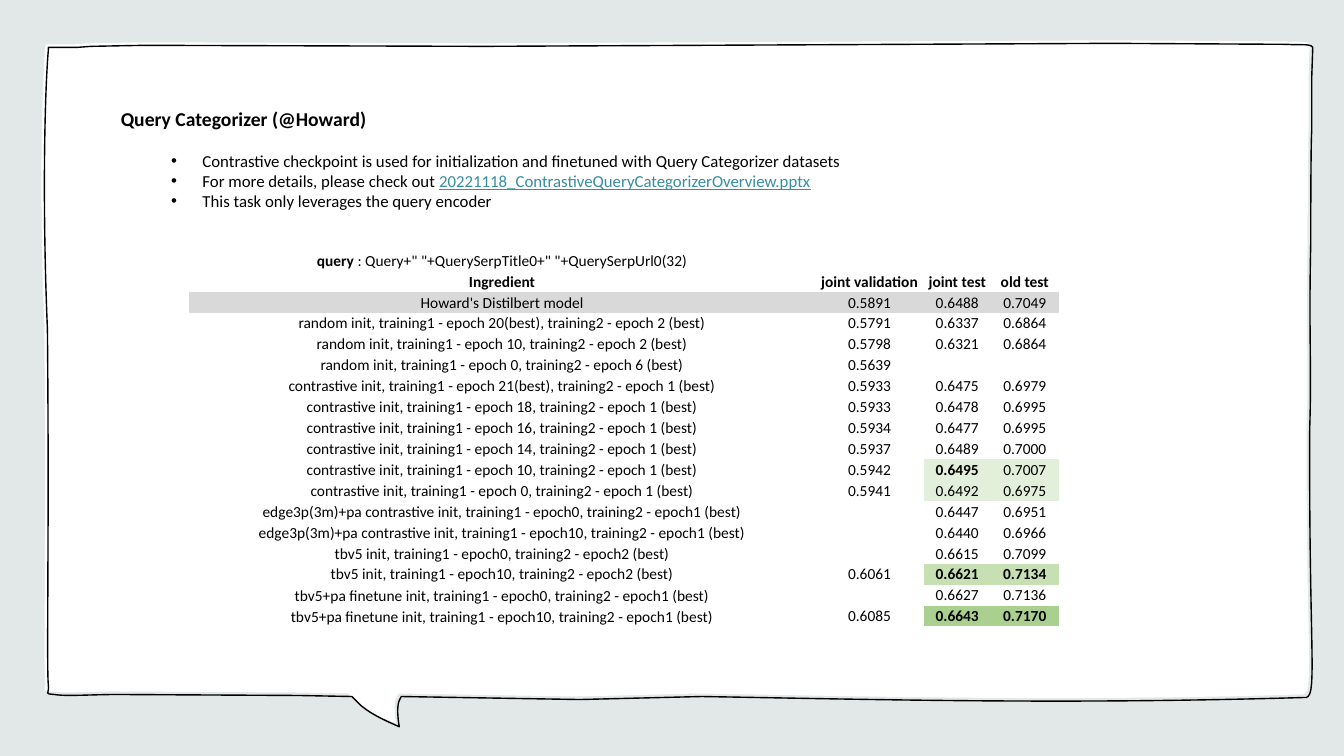
"""Build the Query Categorizer results slide."""
from pptx import Presentation
from pptx.dml.color import RGBColor
from pptx.enum.text import MSO_ANCHOR, PP_ALIGN
from pptx.oxml.ns import qn
from pptx.util import Inches, Pt
from lxml.etree import SubElement

TITLE = "Query Categorizer (@Howard)"
LINK = "20221118_ContrastiveQueryCategorizerOverview.pptx"
BULLETS = [
    ["Contrastive checkpoint is used for initialization and finetuned with Query Categorizer datasets"],
    ["For more details, please check out ", LINK],
    ["This task only leverages the query encoder"],
]
QUERY = [("query ", True), (': Query+" "+QuerySerpTitle0+" "+QuerySerpUrl0(32)', False)]
HEADS = ("Ingredient", "joint validation", "joint test", "old test")
MODELS = [
    ("Howard's Distilbert model", "0.5891", "0.6488", "0.7049"),
    ("random init, training1 - epoch 20(best), training2 - epoch 2 (best)", "0.5791", "0.6337", "0.6864"),
    ("random init, training1 - epoch 10, training2 - epoch 2 (best)", "0.5798", "0.6321", "0.6864"),
    ("random init, training1 - epoch 0, training2 - epoch 6 (best)", "0.5639", "", ""),
    ("contrastive init, training1 - epoch 21(best), training2 - epoch 1 (best)", "0.5933", "0.6475", "0.6979"),
    ("contrastive init, training1 - epoch 18, training2 - epoch 1 (best)", "0.5933", "0.6478", "0.6995"),
    ("contrastive init, training1 - epoch 16, training2 - epoch 1 (best)", "0.5934", "0.6477", "0.6995"),
    ("contrastive init, training1 - epoch 14, training2 - epoch 1 (best)", "0.5937", "0.6489", "0.7000"),
    ("contrastive init, training1 - epoch 10, training2 - epoch 1 (best)", "0.5942", "0.6495", "0.7007"),
    ("contrastive init, training1 - epoch 0, training2 - epoch 1 (best)", "0.5941", "0.6492", "0.6975"),
    ("edge3p(3m)+pa contrastive init, training1 - epoch0, training2 - epoch1 (best)", "", "0.6447", "0.6951"),
    ("edge3p(3m)+pa contrastive init, training1 - epoch10, training2 - epoch1 (best)", "", "0.6440", "0.6966"),
    ("tbv5 init, training1 - epoch0, training2 - epoch2 (best)", "", "0.6615", "0.7099"),
    ("tbv5 init, training1 - epoch10, training2 - epoch2 (best)", "0.6061", "0.6621", "0.7134"),
    ("tbv5+pa finetune init, training1 - epoch0, training2 - epoch1 (best)", "", "0.6627", "0.7136"),
    ("tbv5+pa finetune init, training1 - epoch10, training2 - epoch1 (best)", "0.6085", "0.6643", "0.7170"),
]
BEST = {"0.6495", "0.6621", "0.7134", "0.6643", "0.7170"}
SHADES = {2: (0, "gray"), 10: (2, "pale"), 11: (2, "pale"), 15: (2, "mid"), 17: (2, "deep")}
WIDTHS = (6.22, 1.07, 0.67, 0.67)
BUBBLE = [
    (11.03, 0.43), (12.76, 0.44), (12.89, 0.45, 13, 0.43, 13.02, 0.47), (13.01, 0.77),
    (13.01, 0.94, 13.01, 1.13, 13.01, 1.3), (13, 1.42, 13, 2.35, 13, 2.42),
    (12.98, 3.3, 13.01, 3.65, 12.99, 4.25), (12.98, 6.56, 13.08, 6.95, 12.93, 6.92),
    (10.56, 6.99, 8.72, 6.94, 6.96, 6.91), (5.75, 6.94), (3.98, 6.91), (3.96, 6.95),
    (3.94, 6.99, 3.94, 7.1, 3.96, 7.21), (3.85, 7.16, 3.7, 7.1, 3.58, 7),
    (3.49, 6.91), (2.96, 6.9), (1.17, 6.89), (0.9, 6.89, 0.66, 6.91, 0.54, 6.89),
    (0.43, 6.88, 0.49, 6.89, 0.48, 6.8), (0.46, 6.65, 0.49, 5.22, 0.47, 3.26),
    (0.42, 2.07, 0.44, 0.96, 0.48, 0.49), (0.48, 0.47), (0.54, 0.47), (0.77, 0.47),
    (0.9, 0.46), (1.43, 0.45), (4.8, 0.46),
]
THEME = {
    "font": "Calibri", "title": 14, "body": 12, "cell": 11, "gap": 14.6,
    "back": "E2E7E8", "white": "FFFFFF", "ink": "000000", "link": "358EA1",
    "gray": "D9D9D9", "pale": "E2EFDA", "mid": "C6E0B4", "deep": "A9D08E",
}
NO_GRID = "{2D5ABB26-0587-4C30-8999-92F81FD0307C}"


def tint(name):
    return RGBColor.from_string(THEME[name])


def add_run(para, text, size, bold=False, color="ink"):
    run = para.add_run()
    run.text = text
    font = run.font
    font.name, font.size, font.bold = THEME["font"], Pt(THEME[size]), bold
    font.color.rgb = tint(color)
    return run


def bend(shape, steps, shift):
    lines = list(shape._element.iter(qn("a:lnTo")))
    for line, step in zip(lines, steps):
        if len(step) == 2:
            continue
        line.tag = qn("a:cubicBezTo")
        for i in (2, 0):
            spot = line.makeelement(qn("a:pt"))
            spot.set("x", str(Inches(step[i] + shift) - shape.left))
            spot.set("y", str(Inches(step[i + 1] + shift) - shape.top))
            line.insert(0, spot)


def add_bubble(slide, shift, filled):
    spots = [(Inches(step[-2] + shift), Inches(step[-1] + shift)) for step in BUBBLE]
    pen = slide.shapes.build_freeform(*spots[0], scale=1.0)
    pen.add_line_segments(spots[1:], close=True)
    shape = pen.convert_to_shape()
    bend(shape, BUBBLE[1:], shift)
    shape.shadow.inherit = False
    if filled:
        shape.fill.solid()
        shape.fill.fore_color.rgb = tint("white")
        shape.line.fill.background()
    else:
        shape.fill.background()
        shape.line.color.rgb = tint("ink")
        shape.line.width = Pt(1)


def add_notes(slide):
    frame = slide.shapes.add_textbox(Inches(1.1), Inches(1.01), Inches(8.53), Inches(4.44)).text_frame
    frame.word_wrap = True
    add_run(frame.paragraphs[0], TITLE, "title", True)
    for i, parts in enumerate(BULLETS):
        para = frame.add_paragraph()
        para.level = 1
        para.space_before = Pt(0 if i else THEME["gap"])
        props = para._p.get_or_add_pPr()
        props.set("marL", str(Inches(0.81)))
        props.set("indent", str(Inches(-0.31)))
        SubElement(props, qn("a:buFont")).set("typeface", "Arial")
        SubElement(props, qn("a:buChar")).set("char", "•")
        for part in parts:
            linked = part == LINK
            run = add_run(para, part, "body", color="link" if linked else "ink")
            run.font.underline = linked


def fill_cell(cell, row, col, runs):
    cell.margin_left = cell.margin_right = cell.margin_top = Inches(0.01)
    cell.margin_bottom = 0
    low = row < 3 or (row > 15 and col == 0)
    cell.vertical_anchor = MSO_ANCHOR.BOTTOM if low else MSO_ANCHOR.MIDDLE
    first, shade = SHADES.get(row, (len(WIDTHS), None))
    if col >= first:
        cell.fill.solid()
        cell.fill.fore_color.rgb = tint(shade)
    else:
        cell.fill.background()
    para = cell.text_frame.paragraphs[0]
    para.alignment = PP_ALIGN.CENTER
    for text, bold in runs:
        add_run(para, text, "cell", bold)
    if not runs:
        SubElement(para._p, qn("a:endParaRPr")).set("sz", str(THEME["cell"] * 100))


def add_scores(slide):
    rows = [[QUERY, [], [], []], [[(head, True)] for head in HEADS]]
    rows += [[[(text, text in BEST)] if text else [] for text in model] for model in MODELS]
    frame = slide.shapes.add_table(len(rows), len(WIDTHS), Inches(1.87), Inches(2.48),
                                   Inches(sum(WIDTHS)), Inches(3.74))
    table = frame.table
    table.first_row = table.horz_banding = False
    table._tbl.tblPr.find(qn("a:tableStyleId")).text = NO_GRID
    for col, width in enumerate(WIDTHS):
        table.columns[col].width = Inches(width)
    for row, cells in enumerate(rows):
        for col, runs in enumerate(cells):
            fill_cell(table.cell(row, col), row, col, runs)


def main():
    deck = Presentation()
    deck.slide_width, deck.slide_height = Inches(13.33), Inches(7.5)
    slide = deck.slides.add_slide(deck.slide_layouts[6])
    slide.background.fill.solid()
    slide.background.fill.fore_color.rgb = tint("back")
    add_bubble(slide, -0.03, True)
    add_bubble(slide, 0, False)
    add_notes(slide)
    add_scores(slide)
    deck.save("out.pptx")


if __name__ == "__main__":
    main()
